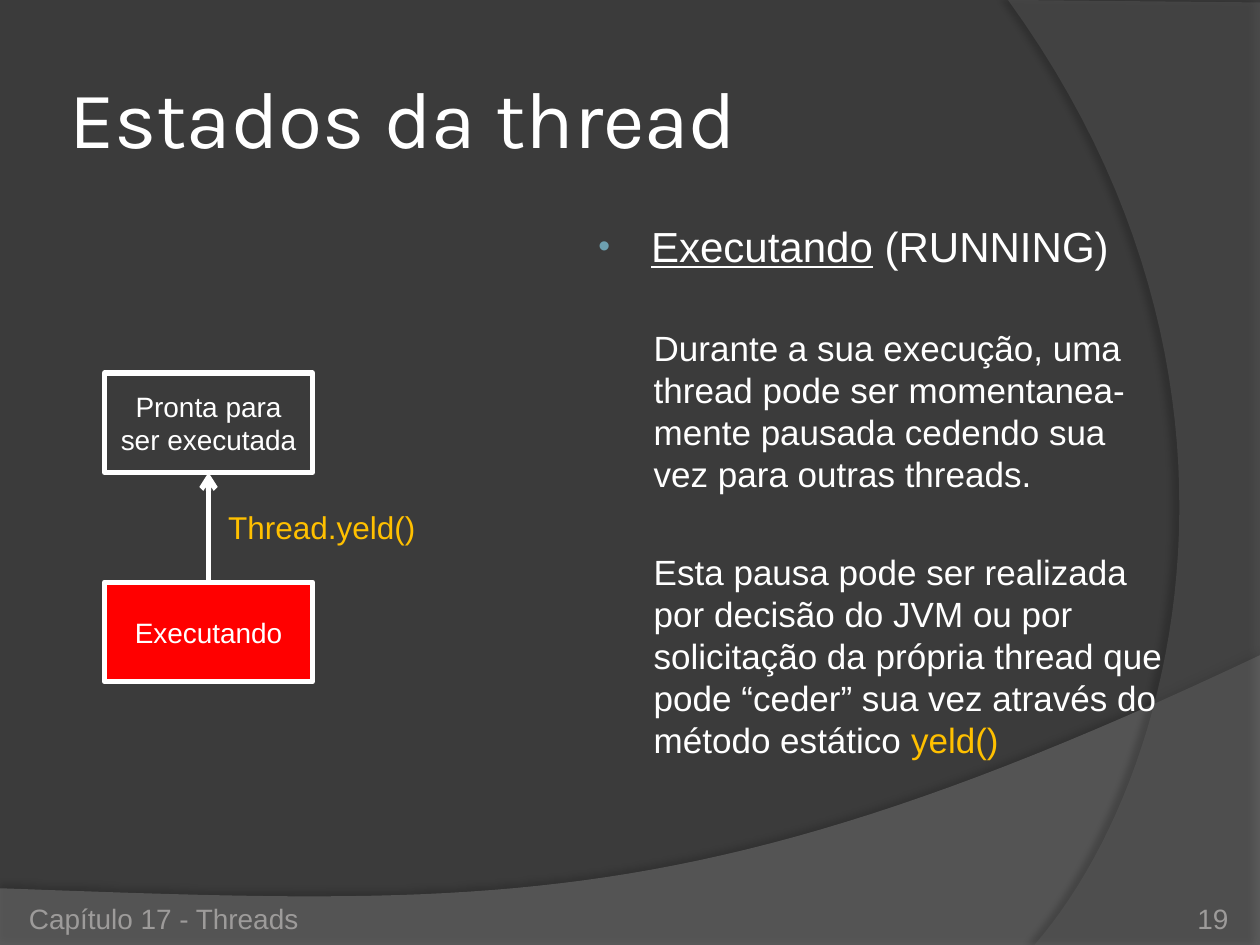
from dataclasses import dataclass

import pptx
import pptx.util
from pptx.dml.color import RGBColor
from pptx.enum.shapes import MSO_CONNECTOR, MSO_SHAPE
from pptx.enum.text import MSO_ANCHOR, PP_ALIGN
from pptx.oxml import parse_xml
from pptx.oxml.ns import nsdecls

PX = 9144  # EMU per px, 100 px to the inch
CURVE_STEPS = 48


@dataclass(frozen=True)
class Theme:
    background: str = "3B3B3B"
    text: str = "FFFFFF"
    accent: str = "FFC000"
    bullet: str = "6EA0B0"
    muted: str = "9D9B9A"
    active: str = "FF0000"
    lower_wave: str = "7F7F7F"
    right_wave: str = "5E5E5E"
    heading_font: str = "Karla"
    body_font: str = "Arial"
    title: int = 46
    topic: int = 24
    body: int = 20
    call: int = 18
    small: int = 16
    outline: int = 3


@dataclass(frozen=True)
class Box:
    left: int
    top: int
    width: int
    height: int

    def emu(self) -> tuple:
        return tuple(v * PX for v in (self.left, self.top, self.width, self.height))


@dataclass(frozen=True)
class Wave:
    before: tuple
    curve: tuple  # start, two controls, end
    after: tuple
    color: str
    opacity: int
    shadow_opacity: int
    shadow_distance: float
    shadow_angle: int


@dataclass(frozen=True)
class State:
    lines: tuple
    box: Box
    fill: str | None = None


THEME = Theme()

WAVES = (
    Wave(((0, 751), (1000, 751)),
         ((1000, 520), (559, 729), (391, 719), (0, 705)),
         (), THEME.lower_wave, 45, 35, 3.5, 270),
    Wave(((1000, 2), (1000, 750)),
         ((821, 750), (935, 619), (1018, 300), (800, 0)),
         (), THEME.right_wave, 40, 45, 4, 180),
)

RUNNING = State(("Executando",), Box(83, 462, 165, 79), THEME.active)
READY = State(("Pronta para", "ser executada"), Box(83, 296, 165, 79))


def rgb(color: str) -> RGBColor:
    return RGBColor.from_string(color)


def bezier(curve: tuple) -> list:
    points = []
    for step in range(CURVE_STEPS + 1):
        t = step / CURVE_STEPS
        weights = ((1 - t) ** 3, 3 * t * (1 - t) ** 2, 3 * t * t * (1 - t), t ** 3)
        points.append(tuple(sum(w * p[axis] for w, p in zip(weights, curve))
                            for axis in (0, 1)))
    return points


def draw_wave(slide, wave: Wave) -> None:
    outline = [(round(x * PX), round(y * PX))
               for x, y in (*wave.before, *bezier(wave.curve), *wave.after)]
    builder = slide.shapes.build_freeform(*outline[0], scale=1)
    builder.add_line_segments(outline[1:], close=True)
    shape = builder.convert_to_shape()
    shape.line.fill.background()
    shape.fill.solid()
    shape.fill.fore_color.rgb = rgb(wave.color)
    shape.fill._xPr.find(".//" + pptx.oxml.ns.qn("a:srgbClr")).append(parse_xml(
        f'<a:alpha {nsdecls("a")} val="{wave.opacity * 1000}"/>'))
    shape.shadow.inherit = False
    effects = shape._element.spPr.find(pptx.oxml.ns.qn("a:effectLst"))
    effects.append(parse_xml(
        f'<a:outerShdw {nsdecls("a")} blurRad="{pptx.util.Pt(4)}" '
        f'dist="{pptx.util.Pt(wave.shadow_distance)}" dir="{wave.shadow_angle * 60000}" '
        f'rotWithShape="0"><a:srgbClr val="000000">'
        f'<a:alpha val="{wave.shadow_opacity * 1000}"/></a:srgbClr></a:outerShdw>'))


def add_run(paragraph, text: str, *, size: int, color: str = THEME.text,
            font: str = THEME.body_font, underline: bool = False) -> None:
    run = paragraph.add_run()
    run.text = text
    run.font.size = pptx.util.Pt(size)
    run.font.name = font
    run.font.color.rgb = rgb(color)
    if underline:
        run.font.underline = True


def write(shape, lines: tuple, *, align=PP_ALIGN.LEFT, anchor=MSO_ANCHOR.MIDDLE,
          inset: tuple = (10, 5), **run_format) -> None:
    """Write one paragraph per line; inset is horizontal, vertical px."""
    frame = shape.text_frame
    frame.word_wrap = True
    frame.vertical_anchor = anchor
    frame.margin_left = frame.margin_right = inset[0] * PX
    frame.margin_top = frame.margin_bottom = inset[1] * PX
    for index, line in enumerate(lines):
        paragraph = frame.add_paragraph() if index else frame.paragraphs[0]
        paragraph.alignment = align
        add_run(paragraph, line, **run_format)


def draw_label(slide, text: str, box: Box, **text_format) -> None:
    write(slide.shapes.add_textbox(*box.emu()), (text,), **text_format)


def draw_state(slide, state: State):
    shape = slide.shapes.add_shape(MSO_SHAPE.RECTANGLE, *state.box.emu())
    shape.shadow.inherit = False
    if state.fill:
        shape.fill.solid()
        shape.fill.fore_color.rgb = rgb(state.fill)
    else:
        shape.fill.background()
    shape.line.color.rgb = rgb(THEME.text)
    shape.line.width = pptx.util.Pt(THEME.outline)
    write(shape, state.lines, align=PP_ALIGN.CENTER, size=THEME.small)
    return shape


def draw_transition(slide, source, target) -> None:
    """Arrow from the top of source to the bottom of target."""
    arrow = slide.shapes.add_connector(MSO_CONNECTOR.STRAIGHT, 0, 0, 0, 0)
    arrow.begin_connect(source, 0)
    arrow.end_connect(target, 2)
    arrow.line.color.rgb = rgb(THEME.text)
    arrow.line.width = pptx.util.Pt(THEME.outline)
    arrow.line._get_or_add_ln().append(parse_xml(
        f'<a:tailEnd {nsdecls("a")} type="arrow"/>'))
    arrow._element.spPr.append(parse_xml(f'<a:effectLst {nsdecls("a")}/>'))


def draw_explanation(slide) -> None:
    body = slide.shapes.add_textbox(*Box(461, 170, 472, 512).emu())
    write(body, ("Executando",), anchor=MSO_ANCHOR.TOP, size=THEME.topic, underline=True)
    topic = body.text_frame.paragraphs[0]
    add_run(topic, " (RUNNING)", size=THEME.topic)
    topic.space_before = pptx.util.Pt(5)
    properties = topic._p.get_or_add_pPr()
    properties.set("marL", str(46 * PX))
    properties.set("indent", str(-42 * PX))
    for bullet in (f'<a:buClr {nsdecls("a")}><a:srgbClr val="{THEME.bullet}"/></a:buClr>',
                   f'<a:buSzPct {nsdecls("a")} val="80000"/>',
                   f'<a:buFont {nsdecls("a")} typeface="{THEME.body_font}"/>',
                   f'<a:buChar {nsdecls("a")} char="•"/>'):
        properties.append(parse_xml(bullet))

    for text, method in (
            ("Durante a sua execução, uma thread pode ser momentanea-mente pausada "
             "cedendo sua vez para outras threads.", ""),
            ("Esta pausa pode ser realizada por decisão do JVM ou por solicitação da "
             "própria thread que pode “ceder” sua vez através do método estático ",
             "yeld()")):
        paragraph = body.text_frame.add_paragraph()
        paragraph.space_before = pptx.util.Pt(32)
        paragraph.line_spacing = pptx.util.Pt(24)
        paragraph._p.get_or_add_pPr().set("marL", str(48 * PX))
        add_run(paragraph, text, size=THEME.body)
        if method:
            add_run(paragraph, method, size=THEME.body, color=THEME.accent)


def main() -> None:
    deck = pptx.Presentation()
    deck.slide_width, deck.slide_height = 1000 * PX, 750 * PX
    slide = deck.slides.add_slide(deck.slide_layouts[5])
    slide.background.fill.solid()
    slide.background.fill.fore_color.rgb = rgb(THEME.background)
    for wave in WAVES:
        draw_wave(slide, wave)

    title = slide.shapes.title
    title.left, title.top, title.width, title.height = Box(50, 30, 915, 125).emu()
    write(title, ("Estados da thread",), inset=(5, 5), size=THEME.title,
          font=THEME.heading_font)
    draw_explanation(slide)
    draw_transition(slide, draw_state(slide, RUNNING), draw_state(slide, READY))
    draw_label(slide, "Thread.yeld()", Box(169, 399, 173, 39), align=PP_ALIGN.CENTER,
               size=THEME.call, color=THEME.accent)

    footer = dict(anchor=MSO_ANCHOR.BOTTOM, inset=(0, 0), size=THEME.small, color=THEME.muted)
    draw_label(slide, "Capítulo 17 - Threads", Box(23, 702, 317, 40), **footer)
    draw_label(slide, "19", Box(892, 702, 83, 40), align=PP_ALIGN.RIGHT, **footer)
    deck.save("out.pptx")


if __name__ == "__main__":
    main()
